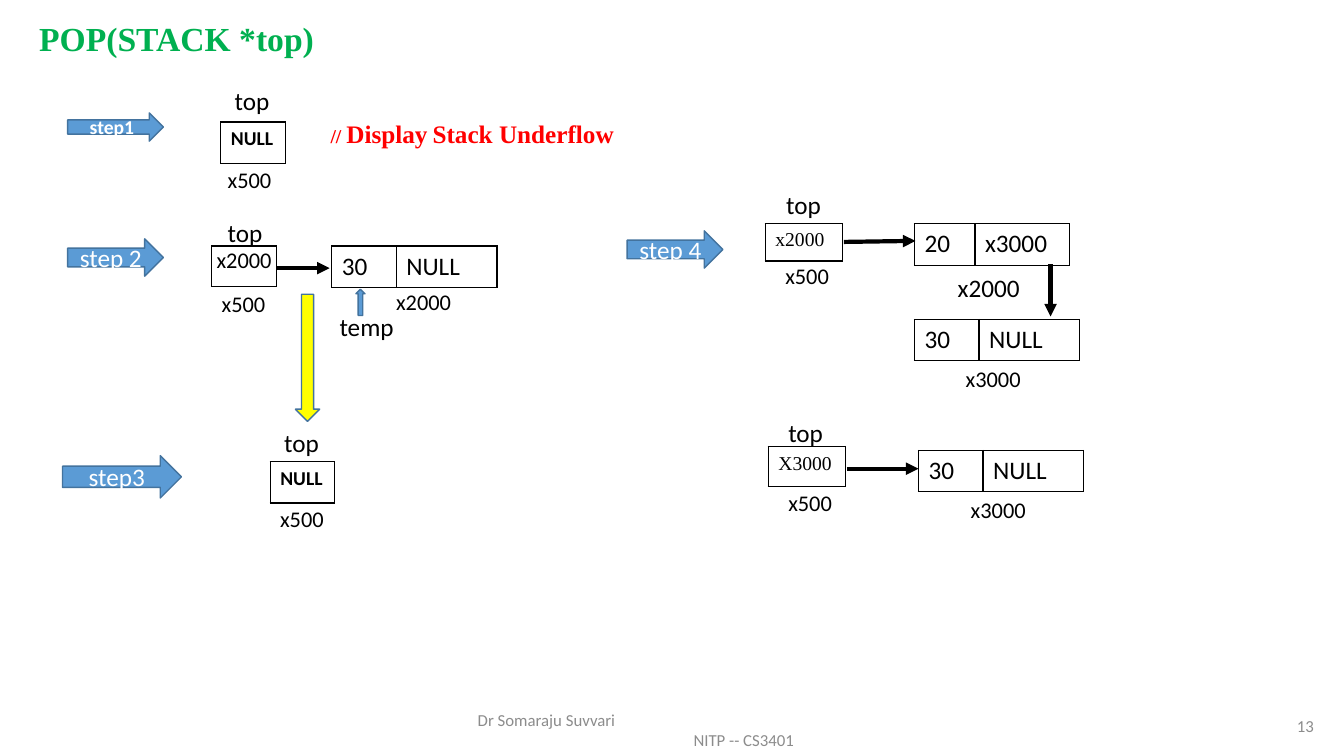
"""Build the slide that steps through POP on a linked stack."""
from lxml import etree
from pptx import Presentation
from pptx.dml.color import RGBColor
from pptx.enum.shapes import MSO_CONNECTOR, MSO_SHAPE
from pptx.enum.text import MSO_ANCHOR, PP_ALIGN
from pptx.oxml.ns import qn
from pptx.util import Inches, Pt

RIGHT_ARROW, UP_ARROW = MSO_SHAPE.RIGHT_ARROW, MSO_SHAPE.UP_ARROW
STRAIGHT = MSO_CONNECTOR.STRAIGHT
MIDDLE = MSO_ANCHOR.MIDDLE
LEFT, CENTER, RIGHT = PP_ALIGN.LEFT, PP_ALIGN.CENTER, PP_ALIGN.RIGHT
SANS, SERIF = "Calibri", "Times New Roman"
COLORS = {"title": "00B050", "alert": "FF0000", "ink": "000000", "step": "5B9BD5",
          "outline": "43739E", "flow": "FFFF00", "white": "FFFFFF", "muted": "8C8C8C"}
LABEL_HEIGHT = {18: 0.4, 16: 0.37}

STEPS = [
    ("step1", 0.67, 1.12, 0.95, 0.28, 14, True),
    ("step 2", 0.67, 2.37, 0.95, 0.37, 18, False),
    ("step3", 0.62, 4.52, 1.18, 0.42, 18, False),
    ("step 4", 6.22, 2.29, 0.95, 0.37, 18, False),
]
POINTERS = [
    ("NULL", 2.19, 1.21, 0.64, 0.41, SANS, True, 0.05),
    ("", 2.1, 2.44, 0.64, 0.4, SANS, False, 0.05),
    ("NULL", 2.68, 4.58, 0.64, 0.41, SANS, True, 0.05),
    ("x2000", 7.59, 2.22, 0.77, 0.37, SERIF, False, 0.05),
    ("X3000", 7.62, 4.43, 0.77, 0.4, SERIF, False, 0.06),
]
NODES = [
    (("30", "NULL"), 3.29, 2.44, (0.64, 1)),
    (("20", "x3000"), 9.07, 2.22, (0.6, 0.94)),
    (("30", "NULL"), 9.07, 3.17, (0.64, 1)),
    (("30", "NULL"), 9.11, 4.47, (0.64, 1)),
]
LABELS = [
    ("top", 2.23, 0.8, 18), ("x500", 2.16, 1.6, 16),
    ("top", 2.16, 2.11, 18), ("x2000", 2.05, 2.39, 16), ("x500", 2.1, 2.83, 16),
    ("x2000", 3.83, 2.81, 16), ("temp", 3.27, 3.04, 18),
    ("top", 2.72, 4.19, 18), ("x500", 2.68, 4.96, 16),
    ("top", 7.7, 1.83, 18), ("x500", 7.69, 2.55, 16),
    ("x2000", 9.4, 2.65, 18), ("x3000", 9.48, 3.57, 16),
    ("top", 7.72, 4.09, 18), ("x500", 7.72, 4.8, 16), ("x3000", 9.53, 4.87, 16),
]
LINKS = [
    (2.74, 2.66, 3.27, 2.66), (8.37, 2.4, 9.08, 2.39),
    (10.42, 2.62, 10.42, 3.14), (8.4, 4.65, 9.11, 4.65),
]
UNDERFLOW = [("// ", 14), ("Display", 18), (" ", 14), ("Stack Underflow", 18)]


def rgb(name):
    return RGBColor.from_string(COLORS[name])


def style(span, size, color="ink", font=SANS, bold=False):
    span.font.size, span.font.name, span.font.bold = Pt(size), font, bold
    span.font.color.rgb = rgb(color)


def add_text(page, spans, left, top, width, height, color="ink", font=SANS,
             bold=False, align=LEFT):
    box = page.shapes.add_textbox(*map(Inches, (left, top, width, height)))
    box.text_frame.word_wrap = True
    para = box.text_frame.paragraphs[0]
    para.alignment = align
    for text, size in spans:
        span = para.add_run()
        span.text = text
        style(span, size, color, font, bold)
    return box


def add_arrow(page, kind, left, top, width, height, fill="step"):
    arrow = page.shapes.add_shape(kind, *map(Inches, (left, top, width, height)))
    arrow.shadow.inherit = False
    arrow.fill.solid()
    arrow.fill.fore_color.rgb = rgb(fill)
    arrow.line.color.rgb = rgb("outline")
    arrow.line.width = Pt(1)
    return arrow


def add_border(cell):
    properties = cell._tc.get_or_add_tcPr()
    for position, side in enumerate(("a:lnL", "a:lnR", "a:lnT", "a:lnB")):
        edge = etree.Element(qn(side), w=str(Pt(1)))
        fill = etree.SubElement(edge, qn("a:solidFill"))
        etree.SubElement(fill, qn("a:srgbClr"), val=COLORS["ink"])
        properties.insert(position, edge)


def add_cells(page, values, left, top, widths, height, size, font=SANS, bold=False,
              inset=0.05):
    frame = page.shapes.add_table(
        1, len(values), *map(Inches, (left, top, sum(widths), height)))
    table = frame.table
    table.first_row = table.horz_banding = False
    for column, (value, width) in enumerate(zip(values, widths)):
        table.columns[column].width = Inches(width)
        cell = table.cell(0, column)
        cell.text = value
        cell.margin_top = cell.margin_bottom = Inches(inset)
        cell.fill.background()
        add_border(cell)
        for span in cell.text_frame.paragraphs[0].runs:
            style(span, size, "ink", font, bold)


def add_link(page, *ends):
    link = page.shapes.add_connector(STRAIGHT, *map(Inches, ends))
    link.line.color.rgb = rgb("ink")
    link.line.width = Pt(3)
    etree.SubElement(link.line._get_or_add_ln(), qn("a:tailEnd"), type="triangle")
    etree.SubElement(link._element.spPr, qn("a:effectLst"))


def add_footer(page):
    box = add_text(page, [("Dr Somaraju Suvvari", 12)], 4.64, 7.04, 4.5, 0.4, "muted")
    box.text_frame.vertical_anchor = MIDDLE
    course = box.text_frame.add_paragraph()
    course.text = "NITP -- CS3401"
    course._p.get_or_add_pPr().set("marL", str(Inches(2.14)))
    style(course.runs[0], 12, "muted")
    number = add_text(page, [("13", 12)], 10.13, 7, 3, 0.4, "muted", align=RIGHT)
    number.text_frame.vertical_anchor = MIDDLE


deck = Presentation()
deck.slide_width, deck.slide_height = Inches(13.33), Inches(7.5)
page = deck.slides.add_slide(deck.slide_layouts[6])

add_text(page, [("POP(STACK *top)", 24)], 0.29, 0.13, 5.32, 0.5, "title", SERIF, True)
add_text(page, UNDERFLOW, 3.18, 1.12, 3.19, 0.4, "alert", SERIF, True)

for name, left, top, width, height, size, bold in STEPS:
    step = add_arrow(page, RIGHT_ARROW, left, top, width, height)
    step.text_frame.text = name
    step.text_frame.vertical_anchor = MIDDLE
    para = step.text_frame.paragraphs[0]
    para.alignment = CENTER
    style(para.runs[0], size, "white", SANS, bold)

flow = add_arrow(page, RIGHT_ARROW, 2.42, 3.43, 1.26, 0.24, "flow")
flow.rotation = 90
add_arrow(page, UP_ARROW, 3.53, 2.87, 0.09, 0.26)

for value, left, top, width, height, font, bold, inset in POINTERS:
    add_cells(page, [value], left, top, [width], height, 14, font, bold, inset)
for values, left, top, widths in NODES:
    add_cells(page, values, left, top, widths, 0.41, 18)
for link in LINKS:
    add_link(page, *link)
for text, left, top, size in LABELS:
    width = 0.98 if len(text) > 4 and size == 18 else 0.84
    add_text(page, [(text, size)], left, top, width, LABEL_HEIGHT[size])

add_footer(page)
deck.save("out.pptx")
